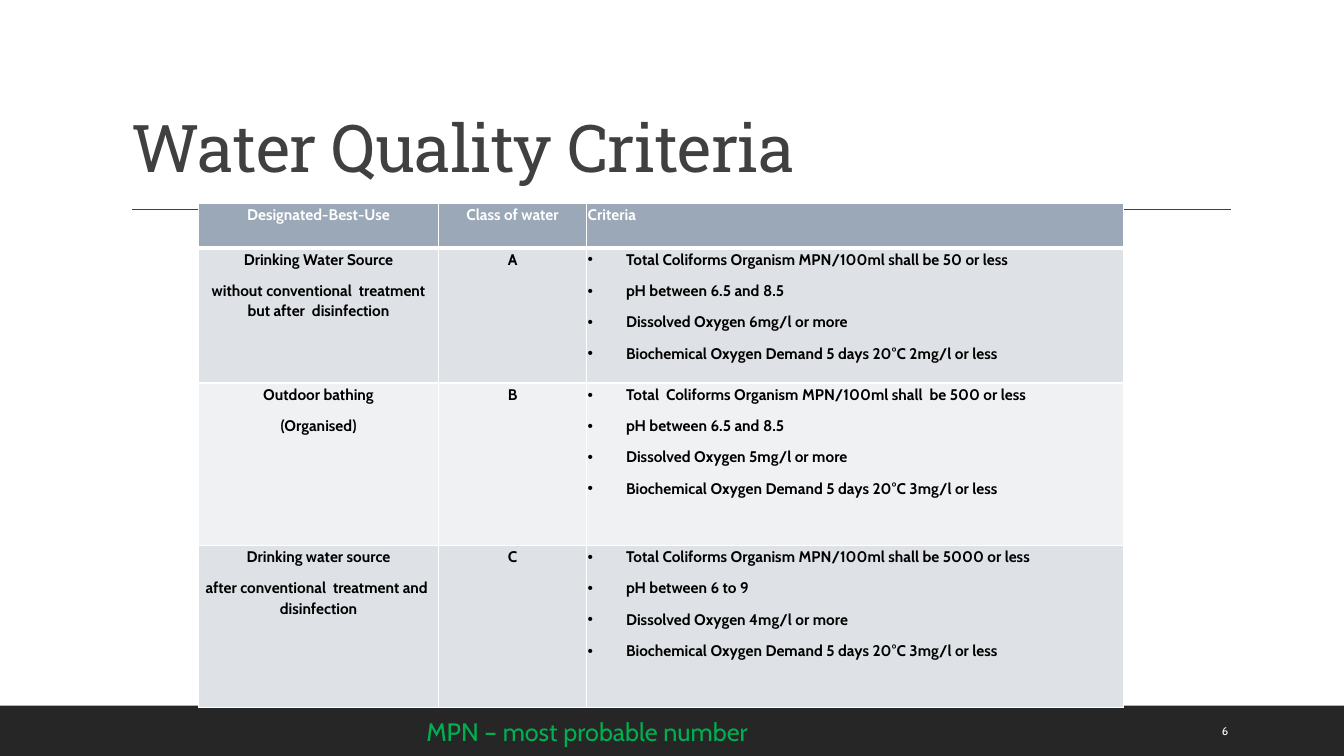
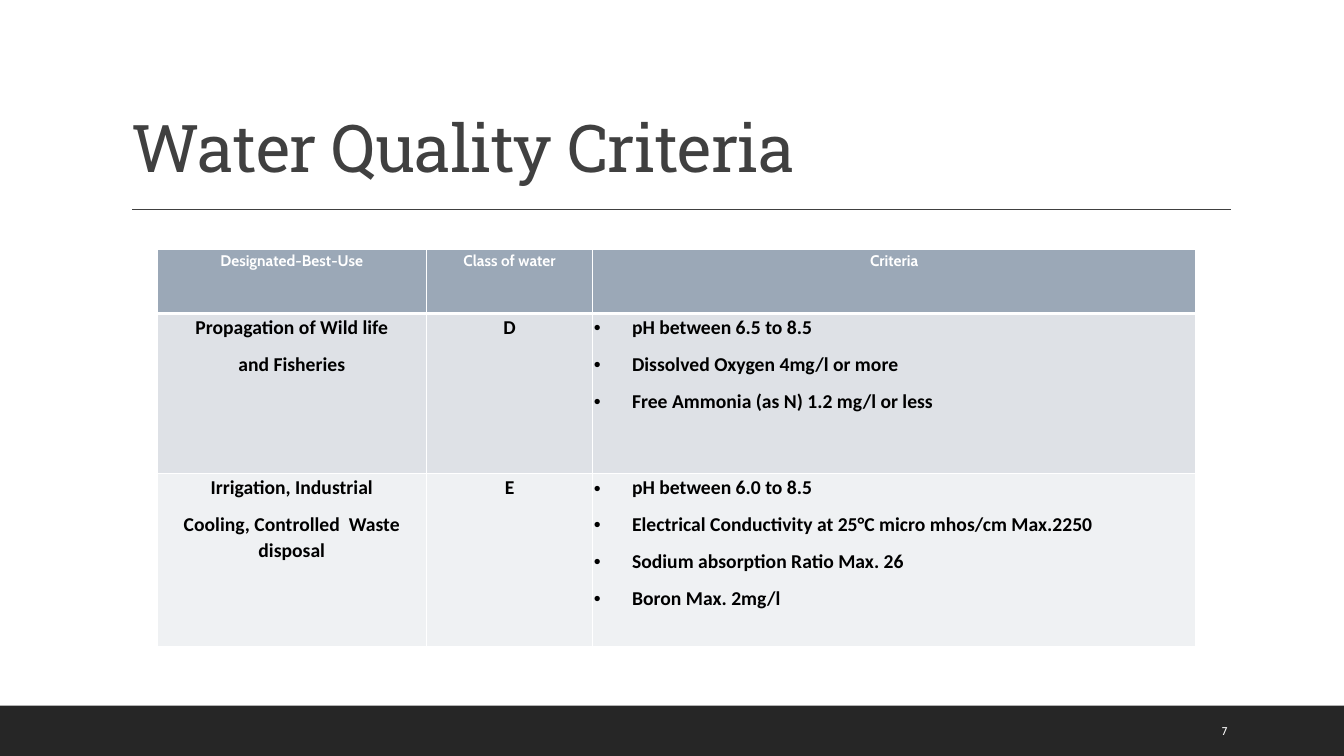
import lxml.etree
import pptx
import pptx.dml.color
import pptx.enum.shapes
import pptx.enum.text
import pptx.oxml
import pptx.oxml.ns
import pptx.util

COLOURS = {
    "white": "FFFFFF", "black": "000000", "ink": "404040", "band": "262626",
    "header": "9BA8B7", "odd row": "DEE1E6", "even row": "EFF1F3", "note": "00B050",
}
RGB = {name: pptx.dml.color.RGBColor.from_string(value) for name, value in COLOURS.items()}
ALIGN = pptx.enum.text.PP_ALIGN
ANCHOR = pptx.enum.text.MSO_ANCHOR

# Text formats
TITLE = {"name": "Roboto Slab", "size": pptx.util.Pt(47), "color": "ink", "bold": False}
NUMBER = {"name": "Cabin", "size": pptx.util.Pt(8), "color": "white"}
NOTE = {"name": "Cabin", "size": pptx.util.Pt(18), "color": "note"}
HEADER = {"name": "Cabin", "size": pptx.util.Pt(11), "color": "white", "bold": True}
CABIN_BODY = HEADER | {"color": "black"}
CALIBRI_BODY = CABIN_BODY | {"name": "Calibri", "size": pptx.util.Pt(14)}
CELL_PARAGRAPH = {"line_spacing": 1.07, "space_after": pptx.util.Pt(8)}
CELL_MARGINS = {"margin_left": 0.01, "margin_top": 0.01, "margin_right": 0.01, "margin_bottom": 0}
BULLET_INDENT = pptx.util.Inches(0.38)

# Content; table lengths are percentages of the slide's width and height
HEADINGS = ["Designated-Best-Use", "Class of water", "Criteria"]
SLIDES = [
    {
        "number": "6", "note": "MPN – most probable number", "body": CABIN_BODY,
        "corner": (14.78, 26.93), "columns": [17.85, 11.03, 39.91],
        "rows": [5.87, 17.87, 21.47, 21.47], "criteria heading": ALIGN.LEFT,
        "classes": [
            (["Drinking Water Source", "without conventional  treatment but after  disinfection"], ["A"],
             ["Total Coliforms Organism MPN/100ml shall be 50 or less", "pH between 6.5 and 8.5",
              "Dissolved Oxygen 6mg/l or more", "Biochemical Oxygen Demand 5 days 20°C 2mg/l or less"]),
            (["Outdoor bathing", "(Organised)"], ["B"],
             ["Total  Coliforms Organism MPN/100ml shall  be 500 or less", "pH between 6.5 and 8.5",
              "Dissolved Oxygen 5mg/l or more", "Biochemical Oxygen Demand 5 days 20°C 3mg/l or less"]),
            (["Drinking water source", "after conventional  treatment and  disinfection"], ["C"],
             ["Total Coliforms Organism MPN/100ml shall be 5000 or less", "pH between 6 to 9",
              "Dissolved Oxygen 4mg/l or more", "Biochemical Oxygen Demand 5 days 20°C 3mg/l or less"]),
        ],
    },
    {
        "number": "7", "note": None, "body": CALIBRI_BODY,
        "corner": (11.7, 32.93), "columns": [20.03, 12.38, 44.86],
        "rows": [8.53, 21.2, 22.93], "criteria heading": ALIGN.CENTER,
        "classes": [
            (["Propagation of Wild life", "and Fisheries"], ["D"],
             ["pH between 6.5 to 8.5", "Dissolved Oxygen 4mg/l or more",
              "Free Ammonia (as N) 1.2 mg/l or less"]),
            (["Irrigation, Industrial", "Cooling, Controlled  Waste disposal"], ["E"],
             ["pH between 6.0 to 8.5", "Electrical Conductivity at 25°C micro mhos/cm Max.2250",
              "Sodium absorption Ratio Max. 26", "Boron Max. 2mg/l"]),
        ],
    },
]

presentation = pptx.Presentation()
presentation.slide_width = pptx.util.Inches(13.33)
presentation.slide_height = pptx.util.Inches(7.5)


def place(*percentages):
    """Turn alternating shares of the slide's width and height into lengths."""
    sides = (presentation.slide_width, presentation.slide_height) * 2
    return [round(side * share / 100) for side, share in zip(sides, percentages)]


def write(text_frame, lines, text_format, **paragraph_format):
    """Fill a text frame with one formatted paragraph per line."""
    for index, line in enumerate(lines):
        paragraph = text_frame.paragraphs[0] if index == 0 else text_frame.add_paragraph()
        for name, value in paragraph_format.items():
            setattr(paragraph, name, value)
        run = paragraph.add_run()
        run.text = line
        for name, value in text_format.items():
            if name == "color":
                run.font.color.rgb = RGB[value]
            else:
                setattr(run.font, name, value)


for content in SLIDES:
    slide = presentation.slides.add_slide(presentation.slide_layouts[5])

    # Band and rule
    band = slide.shapes.add_shape(pptx.enum.shapes.MSO_SHAPE.RECTANGLE, *place(0, 93.33, 100, 6.67))
    band.shadow.inherit = False
    band.fill.solid()
    band.fill.fore_color.rgb = RGB["band"]
    band.line.fill.background()
    rule = slide.shapes.add_connector(
        pptx.enum.shapes.MSO_CONNECTOR.STRAIGHT, *place(9.83, 27.73, 91.6, 27.73))
    rule.line.color.rgb = RGB["ink"]
    rule.line.width = pptx.util.Pt(1)
    lxml.etree.SubElement(rule._element.spPr, pptx.oxml.ns.qn("a:effectLst"))

    # Title
    title = slide.shapes.title
    title.left, title.top, title.width, title.height = place(9, 4.13, 82.52, 21.2)
    title.text_frame.vertical_anchor = ANCHOR.BOTTOM
    title.text_frame.auto_size = pptx.enum.text.MSO_AUTO_SIZE.NONE
    write(title.text_frame, ["Water Quality Criteria"], TITLE, alignment=ALIGN.LEFT, line_spacing=0.9)
    title.text_frame.paragraphs[0].runs[0].font._element.set("spc", "-50")

    # Table grid
    row_count, column_count = len(content["rows"]), len(content["columns"])
    size = (sum(content["columns"]), sum(content["rows"]))
    table = slide.shapes.add_table(row_count, column_count, *place(*content["corner"], *size)).table
    table.horz_banding = False
    for column, share in zip(table.columns, content["columns"]):
        column.width = place(share)[0]
    for row, share in zip(table.rows, content["rows"]):
        row.height = place(0, share)[1]

    # Table cells
    entries = [[[heading] for heading in HEADINGS], *content["classes"]]
    for row_index, row_entries in enumerate(entries):
        is_header = row_index == 0
        fill = "header" if is_header else "odd row" if row_index % 2 else "even row"
        for column_index, lines in enumerate(row_entries):
            is_criteria = column_index == 2
            alignment = ALIGN.CENTER
            if is_criteria:
                alignment = content["criteria heading"] if is_header else ALIGN.LEFT
            cell = table.cell(row_index, column_index)
            for name, inches in CELL_MARGINS.items():
                setattr(cell, name, pptx.util.Inches(inches))
            cell.fill.solid()
            cell.fill.fore_color.rgb = RGB[fill]
            write(cell.text_frame, lines, HEADER if is_header else content["body"],
                  alignment=alignment, **CELL_PARAGRAPH)

            # White borders, thick under the header
            thick_side = {0: "lnB", 1: "lnT"}.get(row_index)
            for position, side in enumerate(["lnL", "lnR", "lnT", "lnB"]):
                width = pptx.util.Pt(3 if side == thick_side else 1)
                border = pptx.oxml.parse_xml(
                    f'<a:{side} {pptx.oxml.ns.nsdecls("a")} w="{width}"><a:solidFill>'
                    f'<a:srgbClr val="{COLOURS["white"]}"/></a:solidFill></a:{side}>')
                cell._tc.get_or_add_tcPr().insert(position, border)

            # Bulleted criteria
            if is_criteria and not is_header:
                for paragraph in cell.text_frame.paragraphs:
                    properties = paragraph._p.get_or_add_pPr()
                    properties.set("marL", str(BULLET_INDENT))
                    properties.set("indent", str(-BULLET_INDENT))
                    for tag, key, value in [("a:buFont", "typeface", "Arial"), ("a:buChar", "char", "•")]:
                        lxml.etree.SubElement(properties, pptx.oxml.ns.qn(tag)).set(key, value)

    # Slide number and footnote
    number = slide.shapes.add_textbox(*place(90.17, 94, 6.38, 5.33))
    number.text_frame.word_wrap = True
    number.text_frame.vertical_anchor = ANCHOR.MIDDLE
    write(number.text_frame, [content["number"]], NUMBER)
    if content["note"]:
        note = slide.shapes.add_textbox(*place(30.98, 94.13, 25.58, 5.33))
        note.text_frame.word_wrap = False
        note.text_frame.auto_size = pptx.enum.text.MSO_AUTO_SIZE.SHAPE_TO_FIT_TEXT
        write(note.text_frame, [content["note"]], NOTE)

presentation.save("out.pptx")
